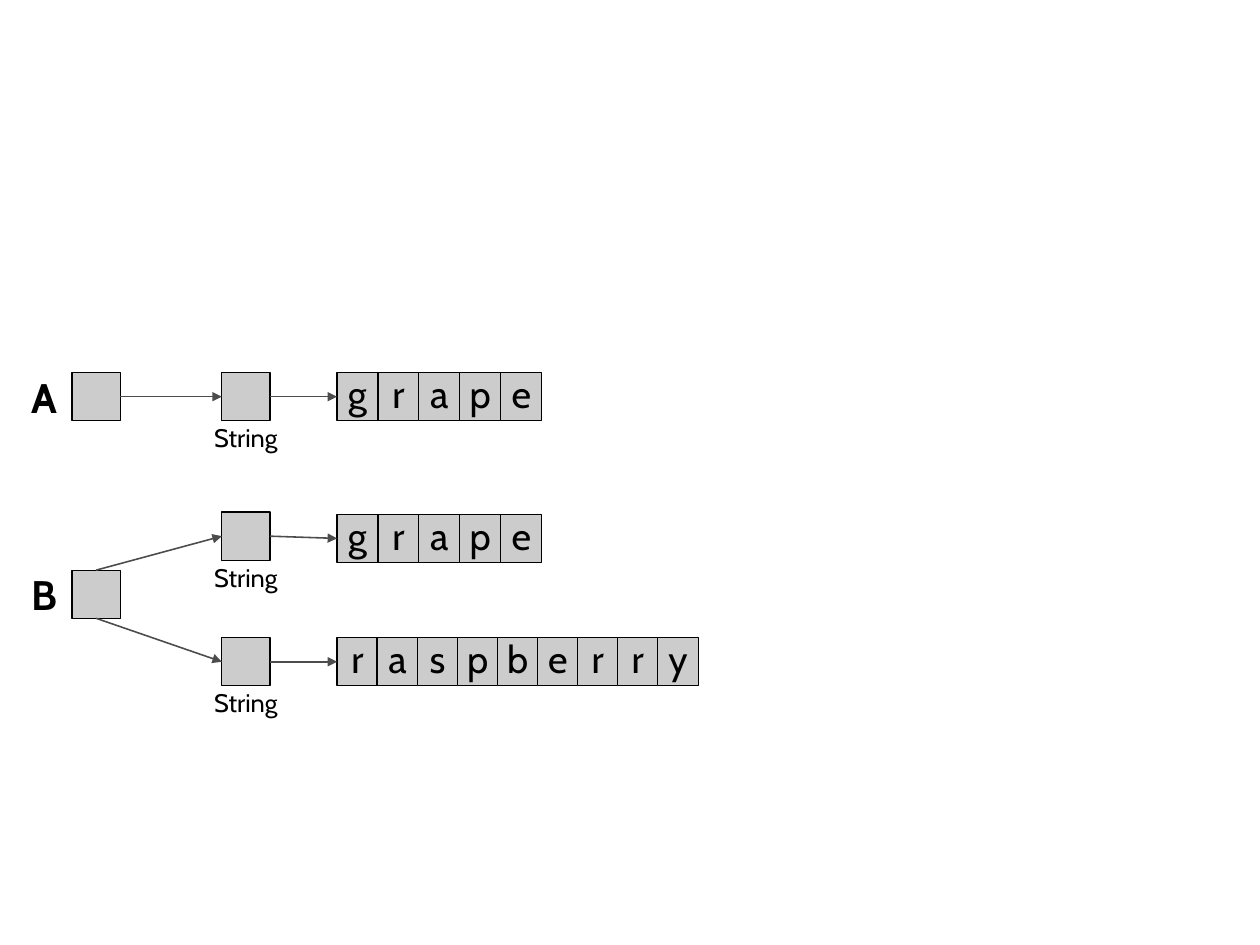
"""Draw how variables A and B point to their strings."""
from dataclasses import dataclass

from lxml import etree
from pptx import Presentation
from pptx import util as u
from pptx.dml import color
from pptx.enum import shapes, text
from pptx.oxml import ns
from pptx.shapes import autoshape as auto
from pptx.shapes import shapetree as tree

HUES = {"fill": "CCCCCC", "edge": "000000", "text": "000000", "arrow": "4C4C4C"}
FONT = "Cabin"
SIDE = 1.07
CELL = 0.91
VAR_X, OBJ_X, WORD_X = 1.6, 4.93, 7.49
TOP, LEFT, BOTTOM, RIGHT = range(4)


@dataclass
class Row:
    word: str
    top: float
    base: float
    step: float
    port: int


@dataclass
class Var:
    name: str
    top: float
    rows: list[Row]


VARS = [
    Var("A", 8.28, [Row("grape", 8.28, 8.28, 0.91, RIGHT)]),
    Var("B", 12.67, [
        Row("grape", 11.38, 11.43, 0.91, TOP),
        Row("raspberry", 14.17, 14.17, 0.89, BOTTOM),
    ]),
]


def rgb(name: str) -> color.RGBColor:
    return color.RGBColor.from_string(HUES[name])


def write(box: auto.Shape, words: str, *, size: float, bold: bool = False,
          align: text.PP_ALIGN = text.PP_ALIGN.CENTER,
          anchor: text.MSO_ANCHOR = text.MSO_ANCHOR.MIDDLE,
          left: float = 0.23, bottom: float = 0.1, wrap: bool = False) -> None:
    frame = box.text_frame
    frame.word_wrap = wrap
    frame.vertical_anchor = anchor
    frame.margin_left, frame.margin_right = u.Cm(left), u.Cm(0.23)
    frame.margin_top, frame.margin_bottom = u.Cm(0.1), u.Cm(bottom)
    para = frame.paragraphs[0]
    para.alignment = align
    run = para.add_run()
    run.text = words
    run.font.name = FONT
    run.font.size = u.Pt(size)
    run.font.bold = bold
    run.font.color.rgb = rgb("text")


def block(parent: tree.SlideShapes | tree.GroupShapes, x: float, y: float,
          width: float = SIDE) -> auto.Shape:
    box = parent.add_shape(shapes.MSO_SHAPE.FLOWCHART_PROCESS,
                           u.Cm(x), u.Cm(y), u.Cm(width), u.Cm(SIDE))
    box.shadow.inherit = False
    box.fill.solid()
    box.fill.fore_color.rgb = rgb("fill")
    box.line.color.rgb = rgb("edge")
    box.line.width = u.Pt(0.71)
    return box


def arrow(parent: tree.SlideShapes, start: auto.Shape, port: int,
          end: auto.Shape) -> None:
    link = parent.add_connector(shapes.MSO_CONNECTOR.STRAIGHT, 0, 0, 0, 0)
    link.begin_connect(start, port)
    link.end_connect(end, LEFT)
    link.line.color.rgb = rgb("arrow")
    link.line.width = u.Pt(1)
    etree.SubElement(link.line._get_or_add_ln(), ns.qn("a:tailEnd"), type="triangle")
    etree.SubElement(link._element.spPr, ns.qn("a:effectLst"))


def spell(parent: tree.SlideShapes, row: Row) -> auto.Shape:
    group = parent.add_group_shape()
    cells = [block(group.shapes, WORD_X + i * row.step, row.base, CELL)
             for i in range(len(row.word))]
    for cell, char in zip(cells, row.word):
        write(cell, char, size=24, bottom=0.25)
    return cells[0]


def main() -> None:
    deck = Presentation()
    deck.slide_width, deck.slide_height = u.Cm(28), u.Cm(21)
    parent = deck.slides.add_slide(deck.slide_layouts[6]).shapes
    for var in VARS:
        root = block(parent, VAR_X, var.top)
        write(root, var.name, size=26, bold=True, left=-0.89,
              align=text.PP_ALIGN.LEFT, wrap=True)
        for row in var.rows:
            obj = block(parent, OBJ_X, row.top)
            write(obj, "String", size=16, bottom=-0.71,
                  anchor=text.MSO_ANCHOR.BOTTOM)
            arrow(parent, root, row.port, obj)
            arrow(parent, obj, RIGHT, spell(parent, row))
    deck.save("out.pptx")


if __name__ == "__main__":
    main()
